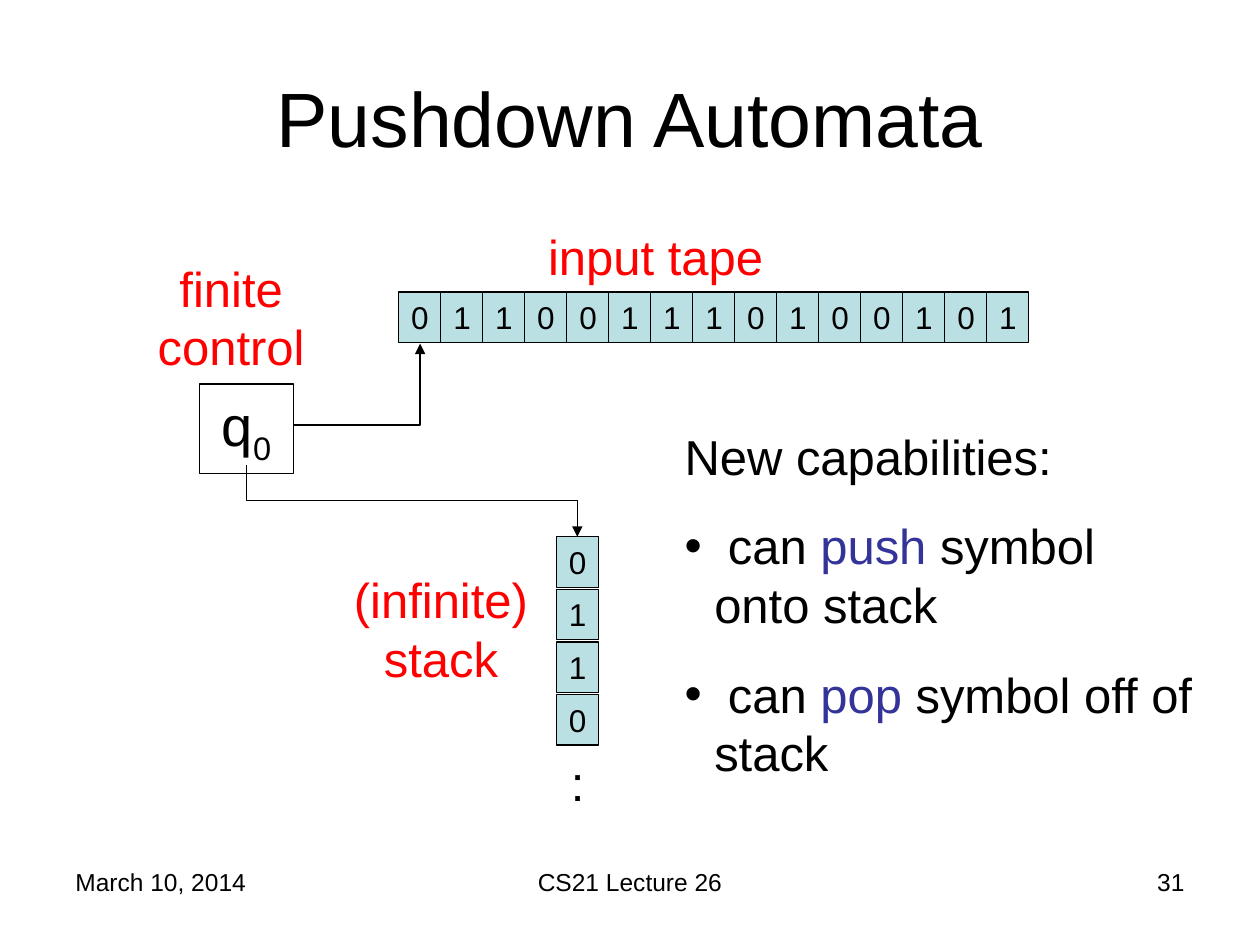
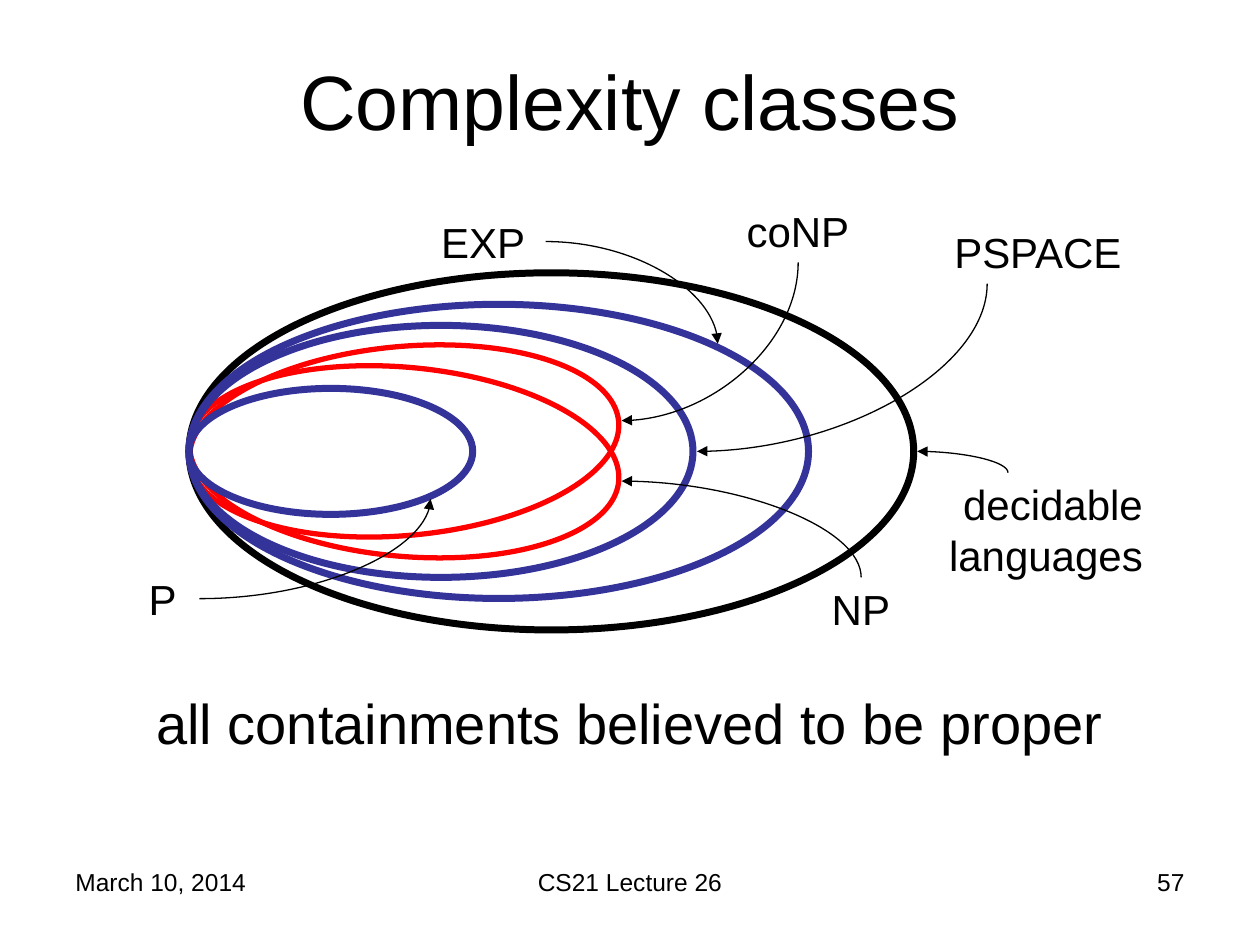
from lxml import etree
from pptx import Presentation
from pptx.dml.color import RGBColor
from pptx.enum.shapes import MSO_CONNECTOR, MSO_SHAPE
from pptx.enum.text import MSO_ANCHOR, MSO_AUTO_SIZE, PP_ALIGN
from pptx.oxml.ns import qn
from pptx.util import Cm, Pt

BLACK = RGBColor(0x00, 0x00, 0x00)
RED = RGBColor(0xFF, 0x00, 0x00)
BLUE = RGBColor(0x33, 0x33, 0x99)
PALE_TEAL = RGBColor(0xBB, 0xE0, 0xE3)

FONT = "Arial"
LEFT, CENTER, RIGHT = PP_ALIGN.LEFT, PP_ALIGN.CENTER, PP_ALIGN.RIGHT
TITLE_ONLY, TITLE_AND_BODY = 5, 1

TAPE = "011001110100101"
STACK = "0110"
TAPE_LEFT, TAPE_TOP = 8.04, 5.89
STACK_LEFT, STACK_TOP, STACK_PITCH = 11.22, 10.82, 1.06
CELL_W, CELL_H = 12.7 / len(TAPE), 1.02

CLASSES_LEFT, CLASSES_MIDDLE = 3.81, 9.1


def add_bullet(p):
    pPr = p._p.get_or_add_pPr()
    pPr.set("marL", str(Cm(0.6)))
    pPr.set("indent", str(-Cm(0.6)))
    etree.SubElement(pPr, qn("a:buFont")).set("typeface", FONT)
    etree.SubElement(pPr, qn("a:buChar")).set("char", "•")


def write(tf, *paragraphs, size, color=BLACK, align=LEFT, gap=0,
          anchor=MSO_ANCHOR.TOP, bullets_from=None):
    """Each paragraph is a string or a list of (text, colour, baseline) runs."""
    tf.word_wrap = True
    tf.auto_size = MSO_AUTO_SIZE.NONE
    tf.vertical_anchor = anchor
    for i, runs in enumerate(paragraphs):
        p = tf.paragraphs[0] if i == 0 else tf.add_paragraph()
        if bullets_from is not None and i >= bullets_from:
            add_bullet(p)
        p.alignment = align
        p.space_before = Pt(gap if i else 0)
        if isinstance(runs, str):
            runs = [(runs, color, 0)]
        for text, run_color, baseline in runs:
            r = p.add_run()
            r.text = text
            r.font.name = FONT
            r.font.size = Pt(size)
            r.font.color.rgb = run_color
            if baseline:
                r.font._element.set("baseline", str(baseline * 1000))


def place(sp, x, y, w, h):
    sp.left, sp.top, sp.width, sp.height = Cm(x), Cm(y), Cm(w), Cm(h)


def add_label(slide, x, y, w, h, *paragraphs, **fmt):
    box = slide.shapes.add_textbox(Cm(x), Cm(y), Cm(w), Cm(h))
    write(box.text_frame, *paragraphs, **fmt)


def add_outlined(slide, preset, x, y, w, h, line=BLACK, weight=0.75, fill=None):
    sp = slide.shapes.add_shape(preset, Cm(x), Cm(y), Cm(w), Cm(h))
    sp.shadow.inherit = False
    if fill is None:
        sp.fill.background()
    else:
        sp.fill.solid()
        sp.fill.fore_color.rgb = fill
    sp.line.color.rgb = line
    sp.line.width = Pt(weight)
    return sp


def add_cell(slide, x, y, symbol):
    sp = add_outlined(slide, MSO_SHAPE.RECTANGLE, x, y, CELL_W, CELL_H, fill=PALE_TEAL)
    write(sp.text_frame, symbol, size=18, align=CENTER)


def add_class_ellipse(slide, w, h, color, weight=4, shift=0, tilt=0):
    y = CLASSES_MIDDLE + shift - h / 2
    sp = add_outlined(slide, MSO_SHAPE.OVAL, CLASSES_LEFT, y, w, h, color, weight)
    sp.rotation = tilt


def add_arrow(slide, preset, x1, y1, x2, y2, vertical_first=False):
    """Draw a bent or curved arrow; a vertical start is a turned horizontal one."""
    dx, dy = x2 - x1, y2 - y1
    turn = 0
    if vertical_first:
        turn = 1 if dx < 0 < dy else -1
        cx, cy = (x1 + x2) / 2, (y1 + y2) / 2
        x1, y1 = cx - turn * dy / 2, cy + turn * dx / 2
        x2, y2 = 2 * cx - x1, 2 * cy - y1
    kind = MSO_CONNECTOR.CURVE if preset.startswith("curved") else MSO_CONNECTOR.ELBOW
    c = slide.shapes.add_connector(kind, Cm(x1), Cm(y1), Cm(x2), Cm(y2))
    c.line.color.rgb = BLACK
    c.line.width = Pt(0.75)
    spPr = c._element.spPr
    spPr.find(qn("a:prstGeom")).set("prst", preset)
    if turn:
        spPr.find(qn("a:xfrm")).set("rot", str(turn % 4 * 90 * 60000))
    etree.SubElement(spPr.find(qn("a:ln")), qn("a:tailEnd")).set("type", "triangle")
    etree.SubElement(spPr, qn("a:effectLst"))


def add_lecture_slide(prs, layout, title, title_top, number):
    slide = prs.slides.add_slide(prs.slide_layouts[layout])
    place(slide.shapes.title, 1.27, title_top, 22.86, 3.18)
    write(slide.shapes.title.text_frame, title, size=44, align=CENTER,
          anchor=MSO_ANCHOR.MIDDLE)
    for x, w, text, align in [(1.27, 5.93, "March 10, 2014", LEFT),
                              (8.68, 8.04, "CS21 Lecture 26", CENTER),
                              (18.2, 5.93, number, RIGHT)]:
        add_label(slide, x, 17.35, w, 1.32, text, size=14, align=align)
    return slide


def add_pushdown_slide(prs):
    slide = add_lecture_slide(prs, TITLE_ONLY, "Pushdown Automata", 0.76, "31")
    for i, symbol in enumerate(TAPE):
        add_cell(slide, TAPE_LEFT + i * CELL_W, TAPE_TOP, symbol)
    for i, symbol in enumerate(STACK):
        add_cell(slide, STACK_LEFT, STACK_TOP + i * STACK_PITCH, symbol)
    add_label(slide, STACK_LEFT, 15.04, CELL_W, 1.44, ":", size=28, align=CENTER)

    state = add_outlined(slide, MSO_SHAPE.RECTANGLE, 4.02, 7.74, 1.9, 1.81)
    write(state.text_frame, [("q", BLACK, 0), ("0", BLACK, -25)], size=32, align=CENTER)
    add_arrow(slide, "bentConnector2", 5.93, 8.57, 8.47, 6.93)
    add_arrow(slide, "bentConnector3", 4.97, 9.37, 11.64, STACK_TOP, vertical_first=True)

    for x, y, w, h, text, align in [
            (10.8, 4.45, 5.93, 1.45, "input tape", LEFT),
            (2.33, 5.08, 4.66, 2.64, "finite control", CENTER),
            (6.56, 11.36, 4.66, 2.64, "(infinite) stack", CENTER)]:
        add_label(slide, x, y, w, h, text, size=28, color=RED, align=align)
    add_label(slide, 13.55, 8.47, 10.8, 7.4,
              "New capabilities:",
              [(" can ", BLACK, 0), ("push", BLUE, 0), (" symbol onto stack", BLACK, 0)],
              [(" can ", BLACK, 0), ("pop", BLUE, 0), (" symbol off of stack", BLACK, 0)],
              size=28, gap=17.5, bullets_from=1)


def add_classes_slide(prs):
    slide = add_lecture_slide(prs, TITLE_AND_BODY, "Complexity classes", 0.42, "57")
    body = slide.placeholders[1]
    place(body, 1.27, 13.76, 22.86, 3.25)
    write(body.text_frame, "all containments believed to be proper",
          size=32, align=CENTER)
    pPr = body.text_frame.paragraphs[0]._p.get_or_add_pPr()
    pPr.set("marL", "0")
    pPr.set("indent", "0")
    etree.SubElement(pPr, qn("a:buNone"))

    for side in (1, -1):  # NP below, coNP above
        add_class_ellipse(slide, 8.68, 3.81, RED, weight=3,
                          shift=0.21 * side, tilt=5.2 * side)
    for w, h, color in [(5.72, 2.54, BLUE), (14.61, 7.2, BLACK),
                        (12.49, 5.93, BLUE), (10.16, 5.08, BLUE)]:
        add_class_ellipse(slide, w, h, color)

    for x, y, w, h, text, align, arrow, vertical_first in [
            (16.93, 4.45, 5.93, 1.28, "PSPACE", RIGHT, (19.9, 5.72, 14.05, 9.1), True),
            (14.39, 11.64, 5.93, 1.28, "NP", CENTER, (17.36, 11.64, 12.53, 9.7), True),
            (2.54, 11.43, 1.48, 1.28, "P", CENTER, (4.02, 12.07, 8.68, 10.06), False),
            (8.47, 4.23, 2.54, 1.28, "EXP", CENTER, (11, 4.87, 14.47, 6.93), False),
            (13.12, 4.02, 5.93, 1.28, "coNP", CENTER, (16.09, 5.29, 12.53, 8.48), True),
            (17.36, 9.53, 5.93, 2.29, "decidable languages", RIGHT,
             (20.32, 9.53, 18.49, 9.1), True)]:
        add_label(slide, x, y, w, h, text, size=24, align=align)
        add_arrow(slide, "curvedConnector2", *arrow, vertical_first=vertical_first)


def main():
    prs = Presentation()
    prs.slide_width, prs.slide_height = Cm(25.4), Cm(19.05)
    add_pushdown_slide(prs)
    add_classes_slide(prs)
    prs.save("out.pptx")


if __name__ == "__main__":
    main()
